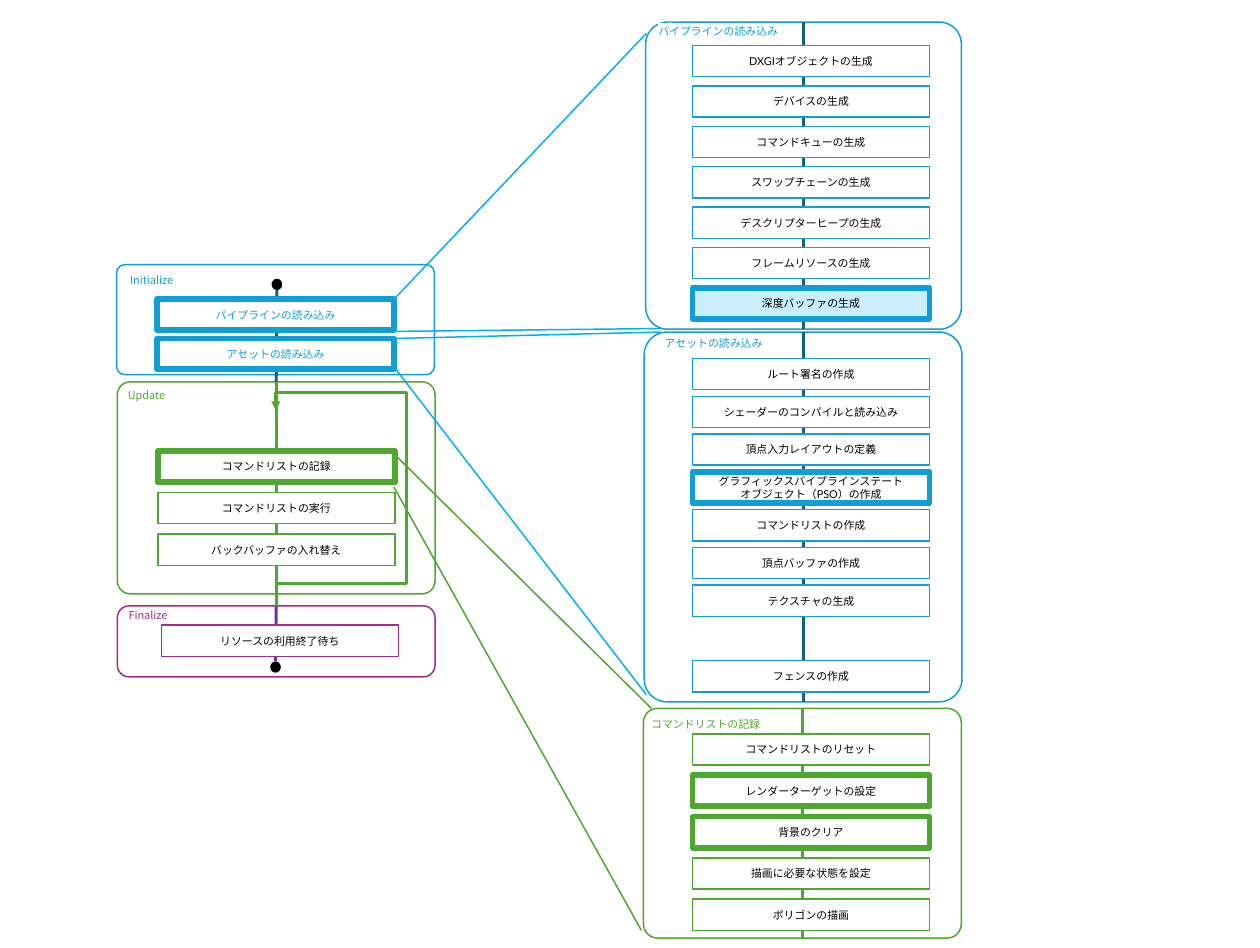
from copy import deepcopy
from dataclasses import dataclass

from lxml.etree import SubElement
from pptx import Presentation
from pptx.dml.color import RGBColor as RGB
from pptx.enum.shapes import MSO_CONNECTOR as Link, MSO_SHAPE as Preset
from pptx.enum.text import MSO_ANCHOR as Anchor, MSO_AUTO_SIZE as AutoSize, PP_ALIGN as Align
from pptx.oxml.ns import qn
from pptx.util import Pt

TOP, BOTTOM = 0, 2


@dataclass(frozen=True)
class Theme:
    blue: str = "0F9ED5"
    sky: str = "00B0F0"
    pale: str = "CAEEFB"
    navy: str = "156082"
    green: str = "4EA72E"
    magenta: str = "A02B93"
    purple: str = "7030A0"
    black: str = "000000"
    white: str = "FFFFFF"
    latin: str = "Lato"
    japanese: str = "Noto Sans CJK JP"
    size: float = 11
    thin: float = 1.5
    rail: float = 3
    thick: float = 6
    step_width: float = 240
    step_height: float = 31.6


class FlowSlide:
    def __init__(self, slide, theme):
        self.shapes = slide.shapes
        self.theme = theme

    @staticmethod
    def assign(target, values):
        for name, value in values.items():
            setattr(target, name, value)

    def label(self, frame, text, color, font, align, highlight=False):
        """Fill the frame's first paragraph; a newline becomes a line break."""
        paragraph = frame.paragraphs[0]
        paragraph.alignment = align
        for number, part in enumerate(text.split("\n")):
            if number:
                paragraph.add_line_break()
            run = paragraph.add_run()
            run.text = part
            self.assign(run.font, {"size": Pt(self.theme.size), "name": font})
            run.font.color.rgb = RGB.from_string(color)
            props = run.font._element
            east = SubElement(props, qn("a:ea"))
            east.set("typeface", self.theme.japanese)
            if highlight:
                marker = SubElement(props, qn("a:highlight"))
                SubElement(marker, qn("a:srgbClr")).set("val", self.theme.white)
                props.find(qn("a:solidFill")).addnext(marker)
            for line_break in paragraph._p.findall(qn("a:br")):
                if not len(line_break):
                    line_break.append(deepcopy(props))

    def shape(self, preset, box, fill=None, line=None, width=0):
        item = self.shapes.add_shape(preset, *map(Pt, box))
        item.shadow.inherit = False
        for paint, color in ((item.fill, fill), (item.line.fill, line)):
            if color:
                paint.solid()
                paint.fore_color.rgb = RGB.from_string(color)
            else:
                paint.background()
        if line:
            item.line.width = Pt(width)
        return item

    def panel(self, box, color, radius, filled=True):
        fill = self.theme.white if filled else None
        item = self.shape(Preset.ROUNDED_RECTANGLE, box, fill, color, self.theme.thin)
        item.adjustments[0] = radius
        return item

    def title(self, text, left, top, width, color, font, highlight=True):
        frame = self.shapes.add_textbox(*map(Pt, (left, top, width, 20.6))).text_frame
        self.assign(frame, {"word_wrap": True, "auto_size": AutoSize.SHAPE_TO_FIT_TEXT})
        self.label(frame, text, color, font, Align.LEFT, highlight)

    def dot(self, left, top):
        return self.shape(Preset.OVAL, (left, top, 10.8, 11.5), self.theme.black)

    def steps(self, entries, left, top, pitch, color, thick=(), shaded=(),
              text_color=None, font=None, height=None):
        """Stack boxes at an even pitch; None leaves a slot open."""
        look = self.theme
        for slot, text in enumerate(entries):
            if text is None:
                continue
            box = (left, top + slot * pitch, look.step_width, height or look.step_height)
            item = self.shape(Preset.RECTANGLE, box,
                              look.pale if slot in shaded else look.white, color,
                              look.thick if slot in thick else look.thin)
            frame = item.text_frame
            self.assign(frame, {"word_wrap": True, "vertical_anchor": Anchor.MIDDLE})
            self.label(frame, text, text_color or look.black, font or look.latin, Align.CENTER)

    def line(self, start, end, color, width, kind=Link.STRAIGHT):
        item = self.shapes.add_connector(kind, *map(Pt, (*start, *end)))
        item.line.color.rgb = RGB.from_string(color)
        item.line.width = Pt(width)
        SubElement(item._element.spPr, qn("a:effectLst"))
        return item

    def rail(self, above, above_side, below, below_side, color):
        item = self.line((0, 0), (1, 1), color, self.theme.rail)
        item.begin_connect(above, above_side)
        item.end_connect(below, below_side)

    def loop(self, center, span, reach, overshoot, color):
        """Arrow from the bottom, round to the right by reach, back to the top."""
        x, y = center
        item = self.line((x + span / 2, y - 0.5), (x - span / 2, y + 0.5),
                         color, self.theme.rail, Link.ELBOW)
        props = item._element.spPr
        props.find(qn("a:xfrm")).set("rot", "5400000")
        geometry = props.find(qn("a:prstGeom"))
        geometry.set("prst", "bentConnector5")
        guides = geometry.find(qn("a:avLst"))
        if guides is None:
            guides = SubElement(geometry, qn("a:avLst"))
        ratios = (-overshoot / span, -reach, 1 + overshoot / span)
        for number, ratio in enumerate(ratios, 1):
            guide = SubElement(guides, qn("a:gd"))
            guide.set("name", f"adj{number}")
            guide.set("fmla", f"val {round(ratio * 100000)}")
        SubElement(props.find(qn("a:ln")), qn("a:tailEnd")).set("type", "triangle")


def draw_main_flow(flow, look):
    update = flow.panel((118.8, 386.6, 321.8, 214.6), look.green, 0.061)
    flow.title("Update", 122.4, 389.5, 169.2, look.green, look.japanese)
    flow.loop((279.7, 494.3), 157.7, 132, 18, look.green)
    finalize = flow.panel((118.8, 613.4, 321.8, 72), look.magenta, 0.167)
    flow.rail(finalize, TOP, update, TOP, look.green)
    finish = flow.dot(273.6, 669.6)
    flow.rail(finish, TOP, finalize, TOP, look.purple)
    flow.panel((118.1, 267.8, 321.8, 111.6), look.blue, 0.076)
    start = flow.dot(275, 282.2)
    flow.rail(start, BOTTOM, update, TOP, look.navy)
    flow.steps(("パイプラインの読み込み", "アセットの読み込み"), 159.1, 303.1, 39.6, look.blue,
               thick=(0, 1), text_color=look.blue, font=look.japanese, height=31)
    flow.steps(("コマンドリストの記録", "コマンドリストの実行", "バックバッファの入れ替え"),
               159.8, 456.5, 42.1, look.green, thick=(0,))
    flow.steps(("リソースの利用終了待ち",), 163.4, 632.9, 0, look.magenta)
    flow.title("Finalize", 123.1, 612.7, 69.1, look.magenta, look.japanese)
    flow.title("Initialize", 124.6, 273.6, 77.8, look.blue, look.japanese)


def draw_details(flow, look):
    left = 701.2
    commands = flow.panel((651.6, 717.1, 321.8, 232.6), look.green, 0.061)
    flow.title("コマンドリストの記録", 652.3, 722.9, 135.4, look.green, look.latin, False)
    flow.rail(commands, BOTTOM, commands, TOP, look.green)
    flow.steps(("コマンドリストのリセット", "レンダーターゲットの設定", "背景のクリア",
                "描画に必要な状態を設定", "ポリゴンの描画"),
               left, 743, 41.8, look.green, thick=(1, 2))

    assets = flow.panel((652.3, 336.2, 321.8, 374.4), look.blue, 0.072, filled=False)
    flow.title("アセットの読み込み", 666, 337.7, 169.2, look.blue, look.japanese, False)
    flow.rail(assets, TOP, assets, BOTTOM, look.navy)
    flow.steps(("ルート署名の作成", "シェーダーのコンパイルと読み込み", "頂点入力レイアウトの定義",
                "グラフィックスパイプラインステート\nオブジェクト（PSO）の作成",
                "コマンドリストの作成", "頂点バッファの作成", "テクスチャの生成", None,
                "フェンスの作成"), left, 362.9, 38.25, look.blue, thick=(3,))

    pipeline = flow.panel((653.8, 22.3, 319.7, 311), look.blue, 0.072, filled=False)
    flow.rail(pipeline, TOP, pipeline, BOTTOM, look.navy)
    flow.steps(("DXGIオブジェクトの生成", "デバイスの生成", "コマンドキューの生成",
                "スワップチェーンの生成", "デスクリプターヒープの生成",
                "フレームリソースの生成", "深度バッファの生成"),
               left, 46.1, 40.9, look.blue, thick=(6,), shaded=(6,))
    flow.title("パイプラインの読み込み", 659.5, 21.6, 140.4, look.blue, look.japanese)


def draw_zoom_lines(flow, look):
    for start, end, color in (
        ((400.3, 460.8), (659.5, 717.1), look.green),
        ((398.9, 493.2), (649.4, 941.8), look.green),
        ((399.6, 342.7), (668.9, 336.2), look.sky),
        ((399.6, 372.2), (654.5, 703.4), look.sky),
        ((398.9, 303.1), (654.5, 33.8), look.sky),
        ((401.8, 335.5), (668.9, 332.6), look.sky),
    ):
        flow.line(start, end, color, look.thin)


def main():
    deck = Presentation()
    deck.slide_width, deck.slide_height = Pt(1275.84), Pt(959.76)
    look = Theme()
    flow = FlowSlide(deck.slides.add_slide(deck.slide_layouts[6]), look)
    draw_main_flow(flow, look)
    draw_details(flow, look)
    draw_zoom_lines(flow, look)
    deck.save("out.pptx")


if __name__ == "__main__":
    main()
